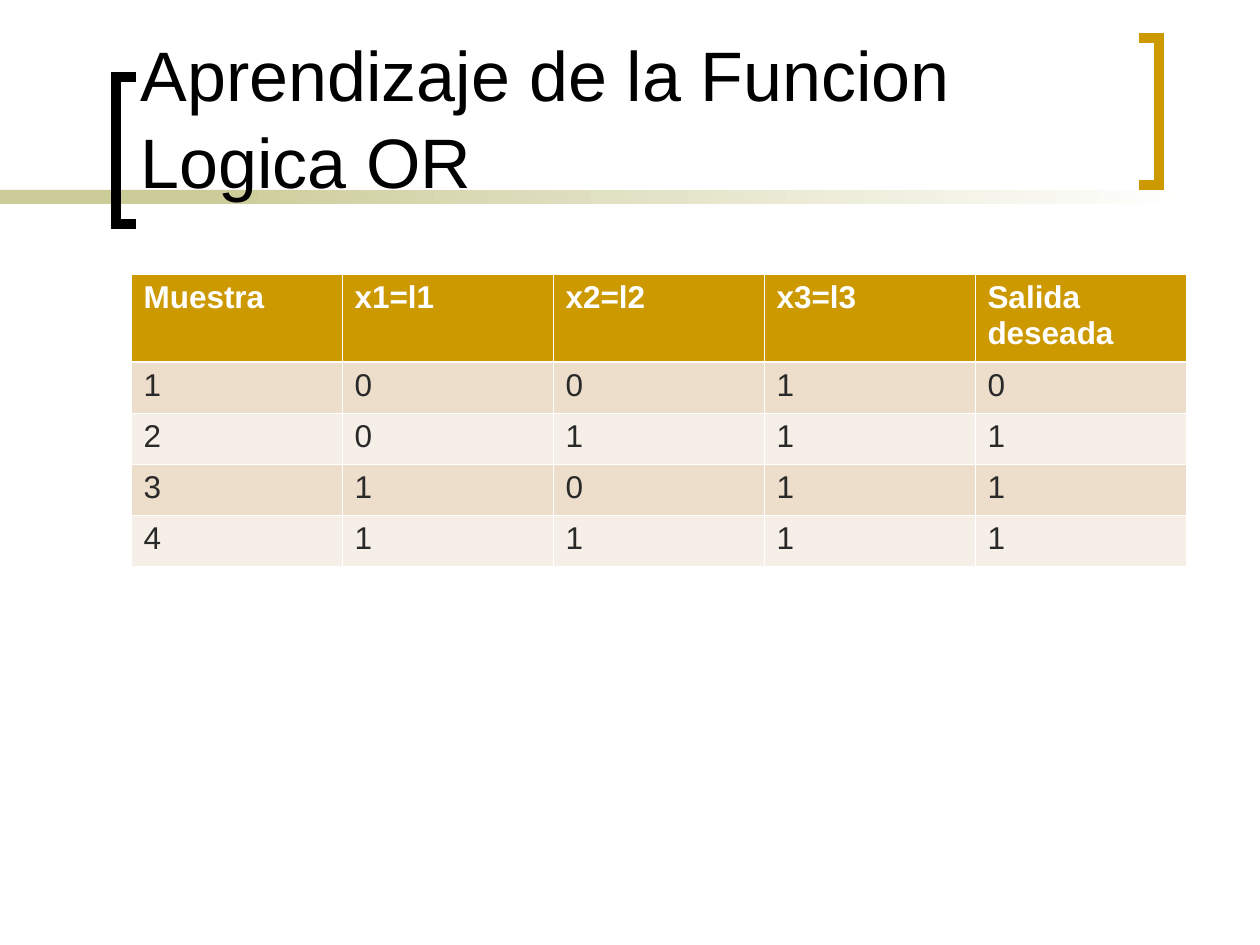
from dataclasses import dataclass

from lxml.etree import SubElement
from pptx import Presentation
from pptx.dml.color import RGBColor
from pptx.enum.shapes import MSO_SHAPE as Shape
from pptx.enum.text import MSO_ANCHOR as Anchor, MSO_AUTO_SIZE as AutoSize, PP_ALIGN as Align
from pptx.oxml.ns import qn
from pptx.util import Pt

EMU_PER_PX = 914400 / 126


@dataclass(frozen=True)
class Theme:
    """Colours, type sizes and line widths of the slide."""
    font: str = "Arial"
    title_size: int = 40
    table_size: int = 18
    black: str = "000000"
    white: str = "FFFFFF"
    ink: str = "292929"
    gold: str = "CC9900"
    olive: str = "CCCC99"
    bands: tuple = ("ECDECB", "F6EFE7")
    bracket_width: float = 6
    thin: float = 0.45
    thick: float = 1.47


THEME = Theme()
TITLE = "Aprendizaje de la Funcion Logica OR"
HEADER = ("Muestra", "x1=l1", "x2=l2", "x3=l3", "Salida deseada")
SAMPLES = ((0, 0, 1, 0), (0, 1, 1, 1), (1, 0, 1, 1), (1, 1, 1, 1))


def px(*lengths):
    """Turn pixel lengths into a list of EMU."""
    return [round(length * EMU_PER_PX) for length in lengths]


def rgb(value):
    """Return the colour for a hex string."""
    return RGBColor.from_string(value)


def set_values(target, values):
    """Set every attribute named in the dict."""
    for name, value in values.items():
        setattr(target, name, value)


def format_font(para, size, color, bold=False):
    """Give a paragraph the theme font with a size and a colour."""
    set_values(para.font, {"name": THEME.font, "size": Pt(size), "bold": bold})
    para.font.color.rgb = rgb(color)


def add_bar(slide, left, top, width, height, start, end):
    """Add a rectangle that fades between two colours, or is plain if they match."""
    bar = slide.shapes.add_shape(Shape.RECTANGLE, *px(left, top, width, height))
    bar.shadow.inherit = False
    bar.line.fill.background()
    if start == end:
        bar.fill.solid()
        bar.fill.fore_color.rgb = rgb(start)
        return
    bar.fill.gradient()
    bar.fill.gradient_angle = 0
    for stop, color in zip(bar.fill.gradient_stops, (start, end)):
        stop.color.rgb = rgb(color)


def add_bracket(slide, tip, spine, top, bottom, color):
    """Add a square bracket whose arms run from the spine to the tip."""
    builder = slide.shapes.build_freeform(tip, top, EMU_PER_PX)
    builder.add_line_segments([(spine, top), (spine, bottom), (tip, bottom)], close=False)
    bracket = builder.convert_to_shape()
    bracket.shadow.inherit = False
    bracket.fill.background()
    bracket.line.color.rgb = rgb(color)
    bracket.line.width = Pt(THEME.bracket_width)
    SubElement(bracket.line._get_or_add_ln(), qn("a:miter"), lim="800000")


def place_title(slide, text):
    """Place the title in front of the decoration and format it."""
    title = slide.shapes.title
    slide.shapes._spTree.append(title._element)
    left, top, width, height = px(128, 14, 987, 195)
    set_values(title, {"left": left, "top": top, "width": width, "height": height})
    frame = title.text_frame
    frame.text = text
    set_values(frame, {"word_wrap": True, "auto_size": AutoSize.NONE,
                       "vertical_anchor": Anchor.BOTTOM})
    para = frame.paragraphs[0]
    set_values(para, {"alignment": Align.LEFT, "line_spacing": 1.04})
    format_font(para, THEME.title_size, THEME.black)


def add_borders(cell, widths):
    """Draw the white cell borders with a width in points for each side."""
    properties = cell._tc.get_or_add_tcPr()
    for side, width in widths.items():
        line = SubElement(properties, qn(f"a:ln{side}"), w=str(Pt(width)))
        SubElement(SubElement(line, qn("a:solidFill")), qn("a:srgbClr"), val=THEME.white)


def format_cell(cell, text, row):
    """Write one table cell in the style of its row."""
    header = row == 0
    add_borders(cell, {"L": THEME.thin, "R": THEME.thin,
                       "T": THEME.thick if row == 1 else THEME.thin,
                       "B": THEME.thick if header else THEME.thin})
    cell.fill.solid()
    cell.fill.fore_color.rgb = rgb(THEME.gold if header else THEME.bands[(row - 1) % 2])
    cell.text = str(text)
    format_font(cell.text_frame.paragraphs[0], THEME.table_size,
                THEME.white if header else THEME.ink, header)


def add_samples_table(slide, left, top, column_width, header_height, row_height):
    """Add the table of numbered samples."""
    rows = [HEADER, *((number, *values) for number, values in enumerate(SAMPLES, 1))]
    width = column_width * len(HEADER)
    height = header_height + row_height * len(SAMPLES)
    table = slide.shapes.add_table(len(rows), len(HEADER), *px(left, top, width, height)).table
    for column in table.columns:
        column.width, = px(column_width)
    for index, values in enumerate(rows):
        table.rows[index].height, = px(row_height if index else header_height)
        for column, value in enumerate(values):
            format_cell(table.cell(index, column), value, index)


def main():
    """Build the slide and save it."""
    deck = Presentation()
    deck.slide_width, deck.slide_height = px(1260, 945)
    slide = deck.slides.add_slide(deck.slide_layouts[5])
    add_bar(slide, 0, 190, 294, 14, THEME.olive, THEME.olive)
    add_bar(slide, 199, 190, 998, 14, THEME.olive, THEME.white)
    add_bracket(slide, 136, 116, 77, 224, THEME.black)
    add_bracket(slide, 1139, 1159, 38, 185, THEME.gold)
    place_title(slide, TITLE)
    add_samples_table(slide, 131, 274, 211, 88, 51)
    deck.save("out.pptx")


if __name__ == "__main__":
    main()
